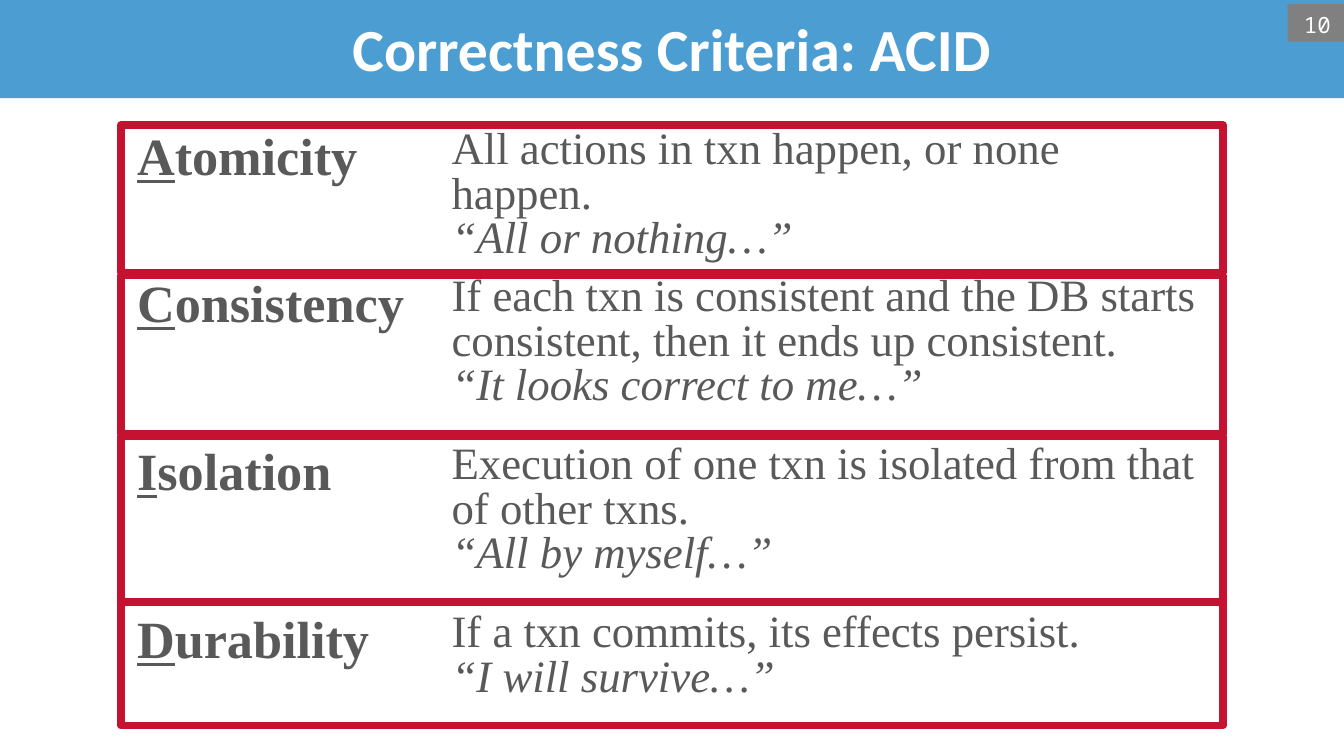
import dataclasses

import pptx
import pptx.dml.color
import pptx.enum.shapes
import pptx.enum.text
import pptx.util

PX = 9144  # EMU per px, 100 px to the inch
RGB = pptx.dml.color.RGBColor
ALIGN = pptx.enum.text.PP_ALIGN
ANCHOR = pptx.enum.text.MSO_ANCHOR
WHITE = RGB(0xFF, 0xFF, 0xFF)
BLUE = RGB(0x4C, 0x9D, 0xD2)
GRAY = RGB(0x80, 0x80, 0x80)
INK = RGB(0x59, 0x59, 0x59)
RED = RGB(0xC4, 0x12, 0x30)
SERIF = "Times New Roman"


@dataclasses.dataclass
class Rule:
    name: str
    text: str  # \v breaks a line, \n starts a paragraph; the last run is the motto
    tall: int
    top: int
    high: int


RULES = [
    Rule("Atomicity",
         "All actions in txn happen, or none happen.\v“All or nothing…”",
         87, 93, 110),
    Rule("Consistency",
         "If each txn is consistent and the DB starts consistent, "
         "then it ends up consistent.\v“It looks correct to me…”",
         125, 205, 118),
    Rule("Isolation",
         "Execution of one txn is isolated from that of other txns.\v“All by myself…”",
         125, 325, 123),
    Rule("Durability",
         "If a txn commits, its effects persist.\n“I will survive…”",
         87, 448, 92),
]


def px(num: int) -> pptx.util.Emu:
    return pptx.util.Emu(num * PX)


def style(run, face: str, size: int, color: RGB, bold: bool = False) -> None:
    font = run.font
    font.name = face
    font.size = pptx.util.Pt(size)
    font.color.rgb = color
    font.bold = bold


def add_title(slide) -> None:
    title = slide.shapes.title
    title.left, title.top, title.width, title.height = map(px, (0, -2, 1000, 75))
    title.fill.solid()
    title.fill.fore_color.rgb = BLUE
    frame = title.text_frame
    frame.text = "Correctness Criteria: ACID"
    frame.auto_size = pptx.enum.text.MSO_AUTO_SIZE.NONE
    frame.vertical_anchor = ANCHOR.MIDDLE
    para = frame.paragraphs[0]
    para.alignment = ALIGN.CENTER
    style(para.runs[0], "Calibri", 32, WHITE, True)


def add_rect(slide, left: int, top: int, width: int, height: int):
    rect = slide.shapes.add_shape(
        pptx.enum.shapes.MSO_SHAPE.RECTANGLE, *map(px, (left, top, width, height)))
    rect.shadow.inherit = False
    return rect


def add_number(slide) -> None:
    badge = add_rect(slide, 958, 3, 42, 28)
    badge.fill.solid()
    badge.fill.fore_color.rgb = GRAY
    badge.line.fill.background()
    frame = badge.text_frame
    frame.text = "10"
    frame.vertical_anchor = ANCHOR.TOP
    para = frame.paragraphs[0]
    para.alignment = ALIGN.RIGHT
    style(para.runs[0], "Noto Sans Mono", 12, WHITE)


def fill_name(cell, name: str) -> None:
    """Write the name in bold with its initial underlined."""
    para = cell.text_frame.paragraphs[0]
    para.text = name[0]
    para.add_run().text = name[1:]
    for run in para.runs:
        style(run, SERIF, 28, INK, True)
    para.runs[0].font.underline = True


def fill_text(cell, text: str) -> None:
    """Write the meaning, with the closing motto in italics."""
    cell.text_frame.text = text
    for para in cell.text_frame.paragraphs:
        para.line_spacing = 0.9
        for run in para.runs:
            style(run, SERIF, 24, INK)
    run.font.italic = True


def add_rules(slide, rules: list[Rule]) -> None:
    high = sum(rule.tall for rule in rules)
    table = slide.shapes.add_table(
        len(rules), 2, *map(px, (92, 91, 819, high))).table
    table.first_row = table.horz_banding = False
    table.columns[0].width = px(234)
    table.columns[1].width = px(585)
    for row, rule in zip(table.rows, rules):
        row.height = px(rule.tall)
        for cell in row.cells:
            cell.fill.background()
        fill_name(row.cells[0], rule.name)
        fill_text(row.cells[1], rule.text)


def add_frame(slide, rule: Rule) -> None:
    frame = add_rect(slide, 90, rule.top, 820, rule.high)
    frame.fill.background()
    frame.line.color.rgb = RED
    frame.line.width = pptx.util.Pt(4)


def main() -> None:
    deck = pptx.Presentation()
    deck.slide_width = px(1000)
    deck.slide_height = deck.slide_width * 9 // 16
    slide = deck.slides.add_slide(deck.slide_layouts.get_by_name("Title Only"))
    add_title(slide)
    add_number(slide)
    add_rules(slide, RULES)
    for rule in RULES:
        add_frame(slide, rule)
    deck.save("out.pptx")


if __name__ == "__main__":
    main()
